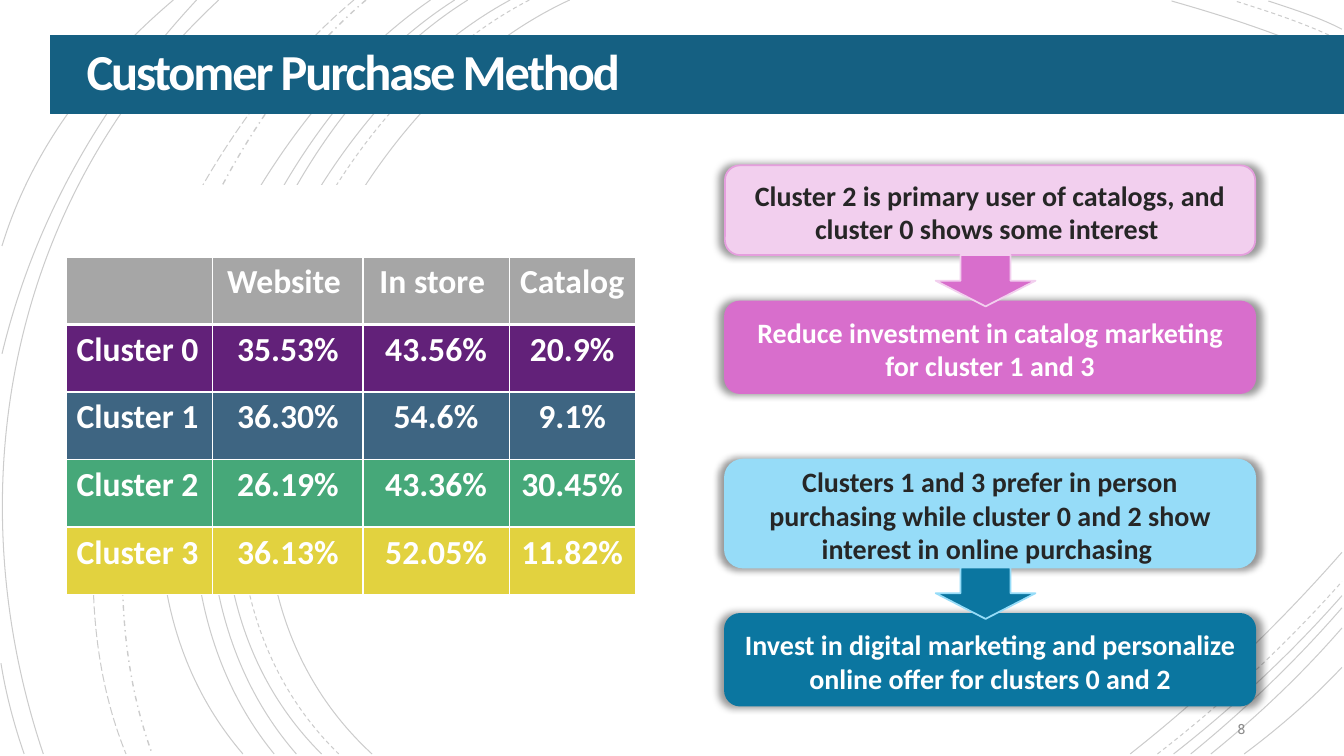
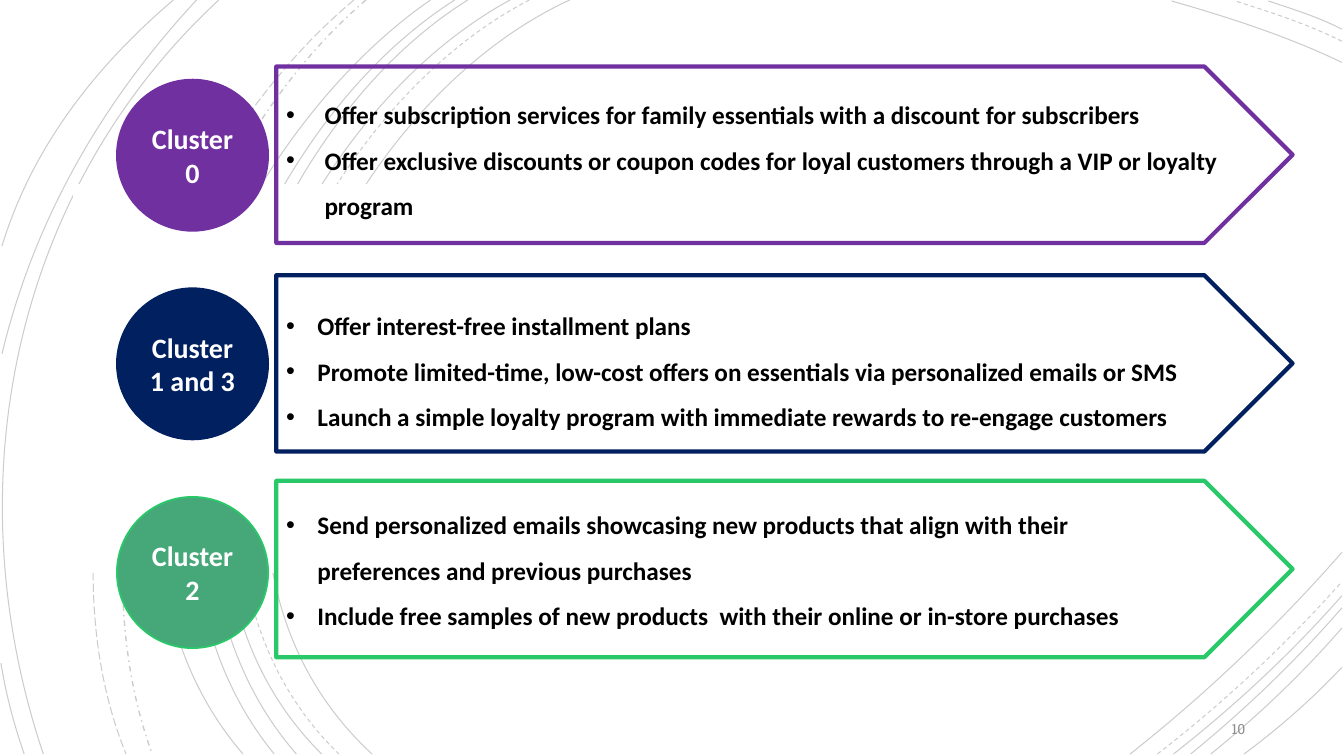
from dataclasses import dataclass

from lxml import etree
from pptx import Presentation
from pptx.dml.color import RGBColor
from pptx.enum.dml import MSO_LINE
from pptx.enum.shapes import MSO_SHAPE
from pptx.enum.text import MSO_ANCHOR, MSO_AUTO_SIZE, PP_ALIGN
from pptx.oxml.ns import qn
from pptx.util import Pt

PX = 9144
SLIDE_WIDTH, SLIDE_HEIGHT = 1333, 750
FONT, NUMBER_FONT = "Calibri", "Roboto Slab"
LEFT, CENTER, RIGHT = PP_ALIGN.LEFT, PP_ALIGN.CENTER, PP_ALIGN.RIGHT
MIDDLE = MSO_ANCHOR.MIDDLE
NO_AUTOFIT = MSO_AUTO_SIZE.NONE
RECT, ROUND_RECT = MSO_SHAPE.RECTANGLE, MSO_SHAPE.ROUNDED_RECTANGLE
DOWN_ARROW, PENTAGON, OVAL = MSO_SHAPE.DOWN_ARROW, MSO_SHAPE.PENTAGON, MSO_SHAPE.OVAL
SOLID, DASH = MSO_LINE.SOLID, MSO_LINE.DASH
LONG_DASH, DASH_DOT = MSO_LINE.LONG_DASH, MSO_LINE.DASH_DOT

COLORS = {
    "white": "FFFFFF", "black": "000000", "ink": "262626", "number": "8C8C8C",
    "band": "156082", "header": "A6A6A6",
    "cluster0": "622179", "cluster1": "3E6582", "cluster2": "46A879", "cluster3": "E2D23F",
    "pale_pink": "F2CFEE", "pink_edge": "E59EDD", "pink": "D86ECC",
    "pale_blue": "96DCF8", "blue": "0B76A0",
    "purple": "7030A0", "navy": "002060", "green": "29C96A",
}

ARC_BOTTOM, ARC_RIGHT = 748, 1331
SWEEPS = [
    (565, 315, 143, 369, SOLID), (525, 285, 123, 336, DASH), (506, 270, 110, 319, SOLID),
    (464, 244, 110, 294, SOLID), (451, 231, 97, 272, SOLID), (427, 217, 53, 241, SOLID),
    (363, 176, 65, 151, DASH_DOT), (351, 157, 29, 125, LONG_DASH), (217, 11, -46, 43, SOLID),
]
UPPER_RIGHT = [(1162, 62, SOLID), (1225, 41, DASH), (1258, 29, SOLID)]
LOWER_RIGHT = [(1121, 548, SOLID), (1148, 577, DASH), (1164, 591, SOLID),
               (1181, 603, SOLID), (1201, 623, SOLID), (1234, 662, SOLID)]
UPPER_LEFT = [(195, 351), (172, 244)]
UPPER_RIGHT_BEND = (0.32, 0.42), (0.67, 0.73)
LOWER_RIGHT_BEND = (0.36, 0.3), (0.7, 0.64)
UPPER_LEFT_BEND = (0.47, 0.28), (0.83, 0.61)
LOWER_LEFT_BEND = (0.22, 0.34), (0.57, 0.68)

PURCHASES = [
    ("header", ["", "Website ", "In store ", "Catalog "]),
    ("cluster0", ["Cluster 0", "35.53%", "43.56%", "20.9%"]),
    ("cluster1", ["Cluster 1", "36.30%", "54.6%", "9.1%"]),
    ("cluster2", ["Cluster 2", "26.19%", "43.36%", "30.45%"]),
    ("cluster3", ["Cluster 3", "36.13%", "52.05%", "11.82%"]),
]
TABLE_LEFT, TABLE_TOP, ROW_HEIGHT = 66, 255, 67
COLUMN_WIDTHS = [145, 149, 145, 125]

MESSAGE_LEFT, MESSAGE_WIDTH, ACTION_HEIGHT, MESSAGE_GAP = 719, 526, 91, 46
ARROW_WIDTH, ARROW_HEIGHT = 99, 51
DISC_LEFT, DISC_TOP, DISC_SIZE, DISC_STEP = 116, 79, 150, 207
PANEL_LEFT, PANEL_WIDTH, PANEL_HEIGHT = 274, 1008, 175


@dataclass
class Offer:
    """The offers made to one group of clusters, with their layout in px."""
    label: str
    disc: str
    edge: str
    top: int
    items: list
    indent: int = 31
    right: int = 10
    bottom: int = 5


OFFERS = [
    Offer("Cluster 0", "purple", "purple", 66, [
        "Offer subscription services for family essentials with a discount for subscribers",
        "Offer exclusive discounts or coupon codes for loyal customers through a VIP or "
        "loyalty program"], indent=38, bottom=9),
    Offer("Cluster 1 and 3", "navy", "navy", 273, [
        "Offer interest-free installment plans",
        "Promote limited-time, low-cost offers on essentials via personalized emails or SMS",
        "Launch a simple loyalty program with immediate rewards to re-engage customers"]),
    Offer("Cluster 2", "cluster2", "green", 477, [
        "Send personalized emails showcasing new products that align with their "
        "preferences and previous purchases",
        "Include free samples of new products  with their online or in-store purchases"],
        right=56, bottom=18),
]


def rgb(name):
    """Look up a palette colour."""
    return RGBColor.from_string(COLORS[name])


def emu(*lengths):
    """Turn px into EMU."""
    return [length * PX for length in lengths]


def paint(shape, fill, edge, width):
    """Give a shape a flat fill, or none, and an outline."""
    if fill:
        shape.fill.solid()
        shape.fill.fore_color.rgb = rgb(fill)
    else:
        shape.fill.background()
    shape.line.color.rgb = rgb(edge)
    shape.line.width = Pt(width)


def set_margins(frame, left=10, top=5, right=10, bottom=5):
    """Set the text insets in px."""
    frame.margin_left, frame.margin_top = emu(left, top)
    frame.margin_right, frame.margin_bottom = emu(right, bottom)


def style_text(frame, size, color, align, bold=True, font=FONT):
    """Format every paragraph and run of a text frame."""
    for paragraph in frame.paragraphs:
        paragraph.alignment = align
        for run in paragraph.runs:
            run.font.name, run.font.size, run.font.bold = font, Pt(size), bold
            run.font.color.rgb = rgb(color)


def add_box(slide, kind, box, fill, edge, width=1.25):
    """Add a preset shape ready for centred text."""
    shape = slide.shapes.add_shape(kind, *emu(*box))
    shape.shadow.inherit = False
    paint(shape, fill, edge, width)
    shape.text_frame.word_wrap = True
    shape.text_frame.vertical_anchor = MIDDLE
    return shape


def add_arc(slide, points, dash=SOLID):
    """Draw one faint cubic curve from start, two controls and end."""
    start, *rest = [(round(x), round(y)) for x, y in points]
    builder = slide.shapes.build_freeform(*start, scale=float(PX))
    arc = builder.add_line_segments(rest, close=False).convert_to_shape()
    segments = arc.element.xpath(".//a:lnTo")
    curve = etree.SubElement(segments[0].getparent(), qn("a:cubicBezTo"))
    for segment in segments:
        curve.append(segment[0])
        segment.getparent().remove(segment)
    arc.shadow.inherit = False
    paint(arc, None, "black", 1 if dash == DASH_DOT else 0.75)
    arc.line.dash_style = dash
    ink = arc.element.xpath(".//a:ln//a:srgbClr")[0]
    etree.SubElement(ink, qn("a:alpha"), val="20000")
    return arc


def sweep(top_x, upper_x, lower_x, bottom_x):
    """Work out a full-height curve, whose controls rise and fall with its start."""
    upper_y = 239 - 0.22 * top_x
    lower_y = min(540, 435 + 0.22 * top_x)
    return [(top_x, 0), (upper_x, upper_y), (lower_x, lower_y), (bottom_x, ARC_BOTTOM)]


def bend(start, end, shares):
    """Place both controls at given shares of the way from start to end."""
    (x, y), (end_x, end_y) = start, end
    controls = [(x + (end_x - x) * across, y + (end_y - y) * down) for across, down in shares]
    return [start, *controls, end]


def add_master_arcs(prs, slide):
    """Group the background curves and move them to the slide master."""
    arcs = [add_arc(slide, sweep(*xs), dash) for *xs, dash in SWEEPS]
    arcs += [add_arc(slide, bend((ARC_RIGHT, y), (x, 1), UPPER_RIGHT_BEND), dash)
             for x, y, dash in UPPER_RIGHT]
    arcs += [add_arc(slide, bend((x, ARC_BOTTOM), (ARC_RIGHT, y), LOWER_RIGHT_BEND), dash)
             for x, y, dash in LOWER_RIGHT]
    arcs += [add_arc(slide, bend((x, 0), (2, y), UPPER_LEFT_BEND)) for x, y in UPPER_LEFT]
    arcs.append(add_arc(slide, bend((1, 658), (24, ARC_BOTTOM), LOWER_LEFT_BEND)))
    group = slide.shapes.add_group_shape(arcs)
    for number, properties in enumerate(group.element.xpath(".//p:cNvPr"), 100):
        properties.set("id", str(number))
    prs.slide_master.shapes.element.insert(2, group.element)


def add_title(slide, text):
    """Turn the title placeholder into the coloured band."""
    title = slide.shapes.title
    title.left, title.top, title.width, title.height = emu(50, 35, 1284, 78)
    paint(title, "band", "band", 0.75)
    frame = title.text_frame
    frame.text = text
    frame.auto_size = NO_AUTOFIT
    frame.vertical_anchor = MIDDLE
    set_margins(frame, 36, 25, 25, 25)
    style_text(frame, 36, "white", LEFT)
    frame.paragraphs[0].line_spacing = 0.85
    for properties in title.element.xpath(".//a:rPr"):
        properties.set("spc", "-150")


def add_backdrop(slide, left, top):
    """Clear a white area over the background curves."""
    add_box(slide, RECT, (left, top, 454, 385), "white", "white")


def add_page_number(slide, number):
    """Write the page number at the lower right."""
    label = slide.shapes.add_textbox(*emu(1145, 706, 100, 35))
    label.text_frame.word_wrap = True
    label.text_frame.vertical_anchor = MIDDLE
    label.text_frame.text = str(number)
    style_text(label.text_frame, 10, "number", RIGHT, False, NUMBER_FONT)


def add_borders(properties, row):
    """Give a cell white borders, heavy between header and body."""
    widths = {"L": 1, "R": 1, "T": 3 if row == 1 else 1, "B": 3 if row == 0 else 1}
    for index, (side, width) in enumerate(widths.items()):
        line = etree.Element(qn("a:ln" + side), w=str(Pt(width)))
        fill = etree.SubElement(line, qn("a:solidFill"))
        etree.SubElement(fill, qn("a:srgbClr"), val=COLORS["white"])
        properties.insert(index, line)


def add_purchase_table(slide):
    """Add the table of purchase shares by cluster."""
    box = TABLE_LEFT, TABLE_TOP, sum(COLUMN_WIDTHS), ROW_HEIGHT * len(PURCHASES)
    holder = slide.shapes.add_table(len(PURCHASES), len(COLUMN_WIDTHS), *emu(*box))
    table = holder.table
    table.horz_banding = False
    for column, width in zip(table.columns, COLUMN_WIDTHS):
        column.width = width * PX
    for r, (color, texts) in enumerate(PURCHASES):
        for c, text in enumerate(texts):
            cell = table.cell(r, c)
            cell.text = text
            cell.fill.solid()
            cell.fill.fore_color.rgb = rgb(color)
            style_text(cell.text_frame, 24, "white", CENTER if c else LEFT)
    for index, properties in enumerate(holder.element.xpath(".//a:tcPr")):
        add_borders(properties, index // len(COLUMN_WIDTHS))


def add_message(slide, top, height, text, fill, edge, color):
    """Add a rounded message box with a soft shadow."""
    message = add_box(slide, ROUND_RECT, (MESSAGE_LEFT, top, MESSAGE_WIDTH, height), fill, edge)
    effects = message.element.xpath(".//a:effectLst")[0]
    shadow = etree.SubElement(effects, qn("a:outerShdw"), blurRad=str(Pt(5)), sx="102000",
                              sy="102000", algn="ctr", rotWithShape="0")
    tint = etree.SubElement(shadow, qn("a:srgbClr"), val=COLORS["black"])
    etree.SubElement(tint, qn("a:alpha"), val="40000")
    message.text_frame.text = text
    set_margins(message.text_frame, top=8)
    style_text(message.text_frame, 20, color, CENTER)


def add_finding(slide, top, height, finding, action, pale, pale_edge, strong):
    """Add a finding, the action below it and the arrow between them."""
    bottom = top + height
    arrow_left = MESSAGE_LEFT + (MESSAGE_WIDTH - ARROW_WIDTH) // 2 - 4
    add_message(slide, top, height, finding, pale, pale_edge, "ink")
    add_message(slide, bottom + MESSAGE_GAP, ACTION_HEIGHT, action, strong, strong, "white")
    add_box(slide, DOWN_ARROW, (arrow_left, bottom, ARROW_WIDTH, ARROW_HEIGHT), strong, pale)


def add_bullets(panel, indent):
    """Give every paragraph of a panel a hanging bullet."""
    for properties in panel.element.xpath(".//a:pPr"):
        properties.set("marL", str(indent * PX))
        properties.set("indent", str(-indent * PX))
        etree.SubElement(properties, qn("a:buFont"), typeface="Arial")
        etree.SubElement(properties, qn("a:buChar"), char="•")


def add_offer(slide, row, offer):
    """Add a cluster disc and the arrow-shaped panel of its offers."""
    panel = add_box(slide, PENTAGON, (PANEL_LEFT, offer.top, PANEL_WIDTH, PANEL_HEIGHT),
                    None, offer.edge, 3)
    frame = panel.text_frame
    frame.text = "\n".join(offer.items)
    set_margins(frame, right=offer.right, bottom=offer.bottom)
    style_text(frame, 18, "black", LEFT)
    for paragraph in frame.paragraphs:
        paragraph.line_spacing = 1.5
    add_bullets(panel, offer.indent)
    disc_box = DISC_LEFT, DISC_TOP + DISC_STEP * row, DISC_SIZE, DISC_SIZE
    disc = add_box(slide, OVAL, disc_box, offer.disc, offer.edge)
    disc.text_frame.text = offer.label
    style_text(disc.text_frame, 20, "white", CENTER)


def build_purchase_slide(slide):
    """Fill the slide on purchase methods."""
    add_title(slide, "Customer Purchase Method")
    add_backdrop(slide, 88, 184)
    add_purchase_table(slide)
    add_finding(slide, 164, 89, "Cluster 2 is primary user of catalogs, and cluster 0 shows "
                "some interest ", "Reduce investment in catalog marketing for cluster 1 and 3",
                "pale_pink", "pink_edge", "pink")
    add_finding(slide, 456, 107, "Clusters 1 and 3 prefer in person purchasing while cluster 0 "
                "and 2 show interest in online purchasing ", "Invest in digital marketing and "
                "personalize online offer for clusters 0 and 2", "pale_blue", "pale_blue", "blue")
    add_page_number(slide, 8)


def build_offer_slide(slide):
    """Fill the slide on offers by cluster."""
    add_backdrop(slide, 73, 183)
    add_page_number(slide, 10)
    for row, offer in enumerate(OFFERS):
        add_offer(slide, row, offer)


def main():
    """Build and save the presentation."""
    prs = Presentation()
    prs.slide_width, prs.slide_height = emu(SLIDE_WIDTH, SLIDE_HEIGHT)
    purchase_slide = prs.slides.add_slide(prs.slide_layouts[5])
    add_master_arcs(prs, purchase_slide)
    build_purchase_slide(purchase_slide)
    build_offer_slide(prs.slides.add_slide(prs.slide_layouts[6]))
    prs.save("out.pptx")


if __name__ == "__main__":
    main()
